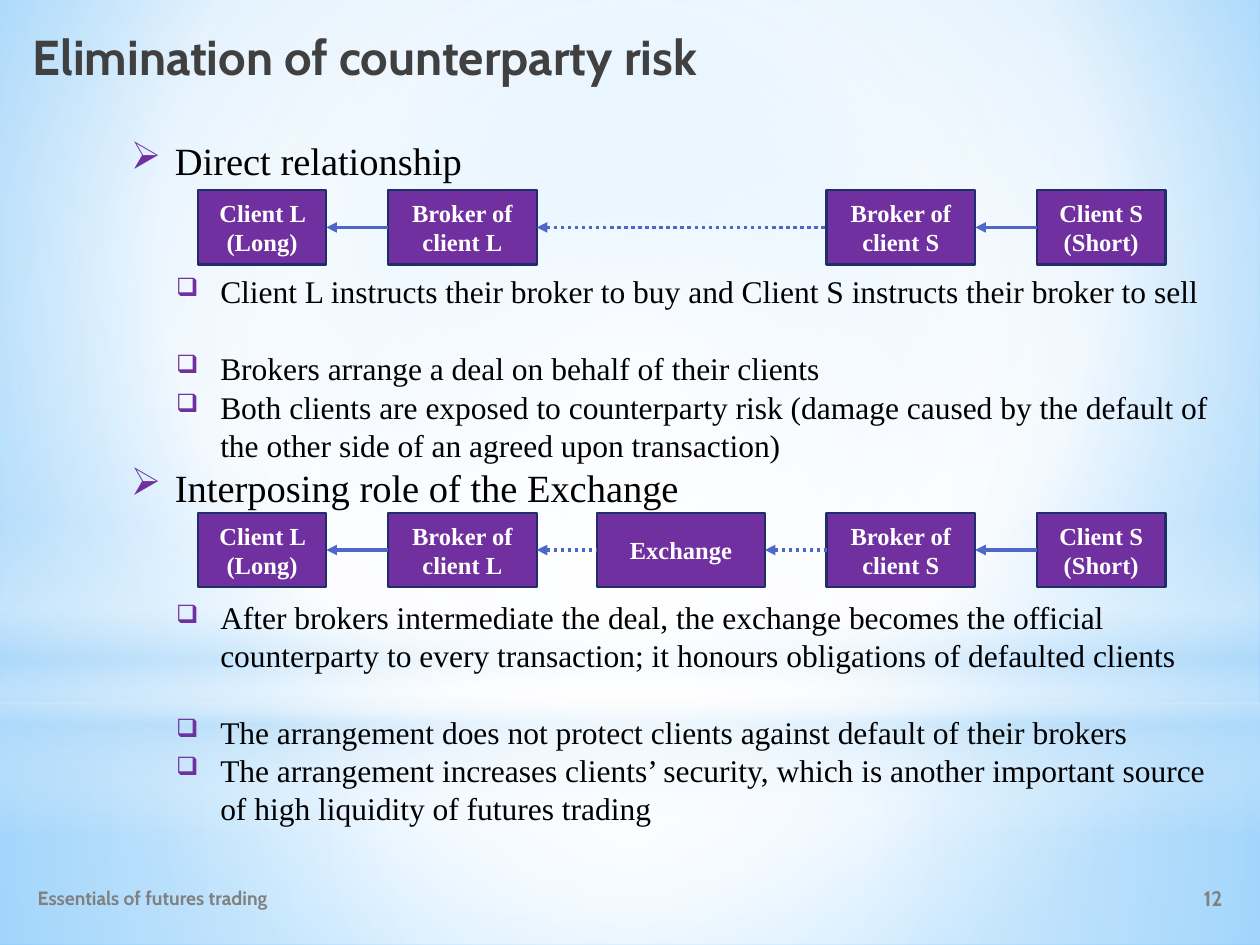
import pptx
import pptx.util
import pptx.dml.color
import pptx.enum.dml
import pptx.enum.shapes
import pptx.enum.text
import pptx.oxml
import pptx.oxml.ns
from lxml import etree

Inches, Pt = pptx.util.Inches, pptx.util.Pt
RGB = pptx.dml.color.RGBColor.from_string
SHAPE = pptx.enum.shapes.MSO_SHAPE
ALIGN = pptx.enum.text.PP_ALIGN
ANCHOR = pptx.enum.text.MSO_ANCHOR
qn = pptx.oxml.ns.qn

# Content
TITLE = "Elimination of counterparty risk"
FOOTER, PAGE = "Essentials of futures trading", "12"
HEADINGS = [  # top, width, text
    (1.04, 4.05, "Direct relationship"),
    (3.63, 4.92, "Interposing role of the Exchange"),
]
POINTS = [  # top, width, text
    (2.11, 8.43, "Client L instructs their broker to buy and Client S instructs their broker to sell"),
    (2.72, 8.43, "Brokers arrange a deal on behalf of their clients"),
    (3.03, 8.7, "Both clients are exposed to counterparty risk (damage caused by the default "
                "of the other side of an agreed upon transaction)"),
    (4.7, 8.47, "After brokers intermediate the deal, the exchange becomes the official "
                "counterparty to every transaction; it honours obligations of defaulted clients"),
    (5.61, 8.43, "The arrangement does not protect clients against default of their brokers"),
    (5.91, 8.43, "The arrangement increases clients’ security, which is another important "
                 "source of high liquidity of futures trading"),
]
PARTIES = {  # left, width, text
    "long": (1.57, 1.02, "Client L (Long)"),
    "long broker": (3.08, 1.18, "Broker of client L"),
    "exchange": (4.74, 1.33, "Exchange"),
    "short broker": (6.56, 1.18, "Broker of client S"),
    "short": (8.23, 1.02, "Client S (Short)"),
}
CHAINS = [  # top, parties from left to right
    (1.51, ["long", "long broker", "short broker", "short"]),
    (4.07, ["long", "long broker", "exchange", "short broker", "short"]),
]
PARTY_HEIGHT = 0.59

THEME = {
    "party": "7030A0", "border": "1F2E69", "arrow": "4E67C8",
    "title": {"name": "Cabin", "size": Pt(28), "bold": True, "color": "404040"},
    "footer": {"name": "Cabin", "size": Pt(11), "bold": True, "color": "808080"},
    "page": {"name": "Cabin", "size": Pt(12), "bold": True, "color": "808080"},
    "heading": {"name": "Times New Roman", "size": Pt(22), "color": "000000"},
    "point": {"name": "Times New Roman", "size": Pt(18), "color": "000000"},
    "label": {"name": "Times New Roman", "size": Pt(14), "bold": True, "color": "FFFFFF"},
}

# Gradients: stops are (position, colour, opacity); focus is left, top, right, bottom
BACKDROP = ([(0, "9ED5FF", 100), (60, "FFFFFF", 100), (100, "5BB9FF", 100)], (20, 10, 20, 60))
CENTRE = (50, 50, 50, 50)
GLOWS = [  # shape, top, height, stops, focus (None runs from top to bottom)
    (SHAPE.RECTANGLE, 5.58, 1.92,
     [(0, "FFFFFF", 91), (37, "FFFFFF", 76), (100, "B4DCFA", 79)], CENTRE),
    (SHAPE.RECTANGLE, 0, 5.58,
     [(0, "FFFFFF", 89), (48, "FFFFFF", 62), (100, "B4DCFA", 79)], CENTRE),
    (SHAPE.RECTANGLE, 4.12, 2.5,
     [(0, "FFFFFF", 0), (29, "FFFFFF", 30), (45, "B4DCFA", 40), (55, "FFFFFF", 26),
      (65, "B4DCFA", 60), (100, "FFFFFF", 0)], None),
    (SHAPE.OVAL, 1.75, 5.58, [(0, "FFFFFF", 100), (56, "FFFFFF", 0)], CENTRE),
]


def add_xml(parent, tag, **attributes):
    child = etree.SubElement(parent, qn(tag))
    for key, value in attributes.items():
        child.set(key, str(value))
    return child


def apply_gradient(solid, stops, focus):
    """Turn a solid fill element into a gradient one."""
    gradient = pptx.oxml.parse_xml(f"<a:gradFill {pptx.oxml.ns.nsdecls('a')} rotWithShape='1'/>")
    stop_list = add_xml(gradient, "a:gsLst")
    for position, color, opacity in stops:
        stop = add_xml(stop_list, "a:gs", pos=position * 1000)
        add_xml(add_xml(stop, "a:srgbClr", val=color), "a:alpha", val=opacity * 1000)
    if focus:
        shade = add_xml(gradient, "a:path", path="circle")
        add_xml(shade, "a:fillToRect", **{side: f * 1000 for side, f in zip("ltrb", focus)})
    else:
        add_xml(gradient, "a:lin", ang=90 * 60000, scaled=0)
    solid.getparent().replace(solid, gradient)


def write(shape, text, style, align=ALIGN.LEFT, anchor=ANCHOR.TOP, bullet=None, bullet_size=100):
    frame = shape.text_frame
    frame.word_wrap, frame.vertical_anchor = True, anchor
    paragraph = frame.paragraphs[0]
    paragraph.alignment = align
    if bullet:
        properties = paragraph._p.get_or_add_pPr()
        properties.set("marL", str(Inches(0.35)))
        properties.set("indent", str(-Inches(0.35)))
        add_xml(add_xml(properties, "a:buClr"), "a:srgbClr", val=THEME["party"])
        add_xml(properties, "a:buSzPct", val=bullet_size * 1000)
        add_xml(properties, "a:buChar", char=bullet)
    run = paragraph.add_run()
    run.text = text
    for key, value in THEME[style].items():
        if key == "color":
            run.font.color.rgb = RGB(value)
        else:
            setattr(run.font, key, value)


def add_text(slide, left, top, width, height, text, style, **options):
    box = slide.shapes.add_textbox(*map(Inches, (left, top, width, height)))
    write(box, text, style, **options)


def add_backdrop(slide):
    slide.background.fill.solid()
    apply_gradient(slide.element.find(f".//{qn('p:bgPr')}/{qn('a:solidFill')}"), *BACKDROP)
    for kind, top, height, stops, focus in GLOWS:
        glow = slide.shapes.add_shape(kind, 0, Inches(top), Inches(10), Inches(height))
        glow.shadow.inherit = False
        glow.line.fill.background()
        glow.fill.solid()
        apply_gradient(glow.element.spPr.find(qn("a:solidFill")), stops, focus)


def add_party(slide, name, top):
    left, width, text = PARTIES[name]
    party = slide.shapes.add_shape(
        SHAPE.RECTANGLE, *map(Inches, (left, top, width, PARTY_HEIGHT)))
    party.shadow.inherit = False
    party.fill.solid()
    party.fill.fore_color.rgb = RGB(THEME["party"])
    party.line.color.rgb = RGB(THEME["border"])
    party.line.width = Pt(1.25)
    write(party, text, "label", align=ALIGN.CENTER, anchor=ANCHOR.MIDDLE)
    return party


def add_arrow(slide, receiver, sender, dotted):
    arrow = slide.shapes.add_connector(pptx.enum.shapes.MSO_CONNECTOR.STRAIGHT, 0, 0, 0, 0)
    arrow.begin_connect(receiver, 3)
    arrow.end_connect(sender, 1)
    arrow.line.color.rgb = RGB(THEME["arrow"])
    arrow.line.width = Pt(2)
    if dotted:
        arrow.line.dash_style = pptx.enum.dml.MSO_LINE.ROUND_DOT
    add_xml(arrow.line._get_or_add_ln(), "a:headEnd", type="triangle")
    add_xml(arrow.element.spPr, "a:effectLst")


def main():
    deck = pptx.Presentation()
    deck.slide_width, deck.slide_height = Inches(10), Inches(7.5)
    slide = deck.slides.add_slide(deck.slide_layouts[6])
    add_backdrop(slide)

    # Title and footer
    add_text(slide, 0.16, 0.16, 6.42, 0.71, TITLE, "title")
    add_text(slide, 0.2, 6.93, 3.62, 0.39, FOOTER, "footer", anchor=ANCHOR.MIDDLE)
    add_text(slide, 7.83, 6.93, 1.97, 0.39, PAGE, "page", align=ALIGN.RIGHT, anchor=ANCHOR.MIDDLE)

    # Headings and points
    for top, width, text in HEADINGS:
        add_text(slide, 0.94, top, width, 0.47, text, "heading", bullet="➢")
    for top, width, text in POINTS:
        add_text(slide, 1.3, top, width, 0.4, text, "point", bullet="❑", bullet_size=80)

    # Chains of parties; only links between a client and its broker are solid
    for top, names in CHAINS:
        parties = [add_party(slide, name, top) for name in names]
        last = len(parties) - 2
        for i, (receiver, sender) in enumerate(zip(parties, parties[1:])):
            add_arrow(slide, receiver, sender, dotted=0 < i < last)

    deck.save("out.pptx")


if __name__ == "__main__":
    main()
